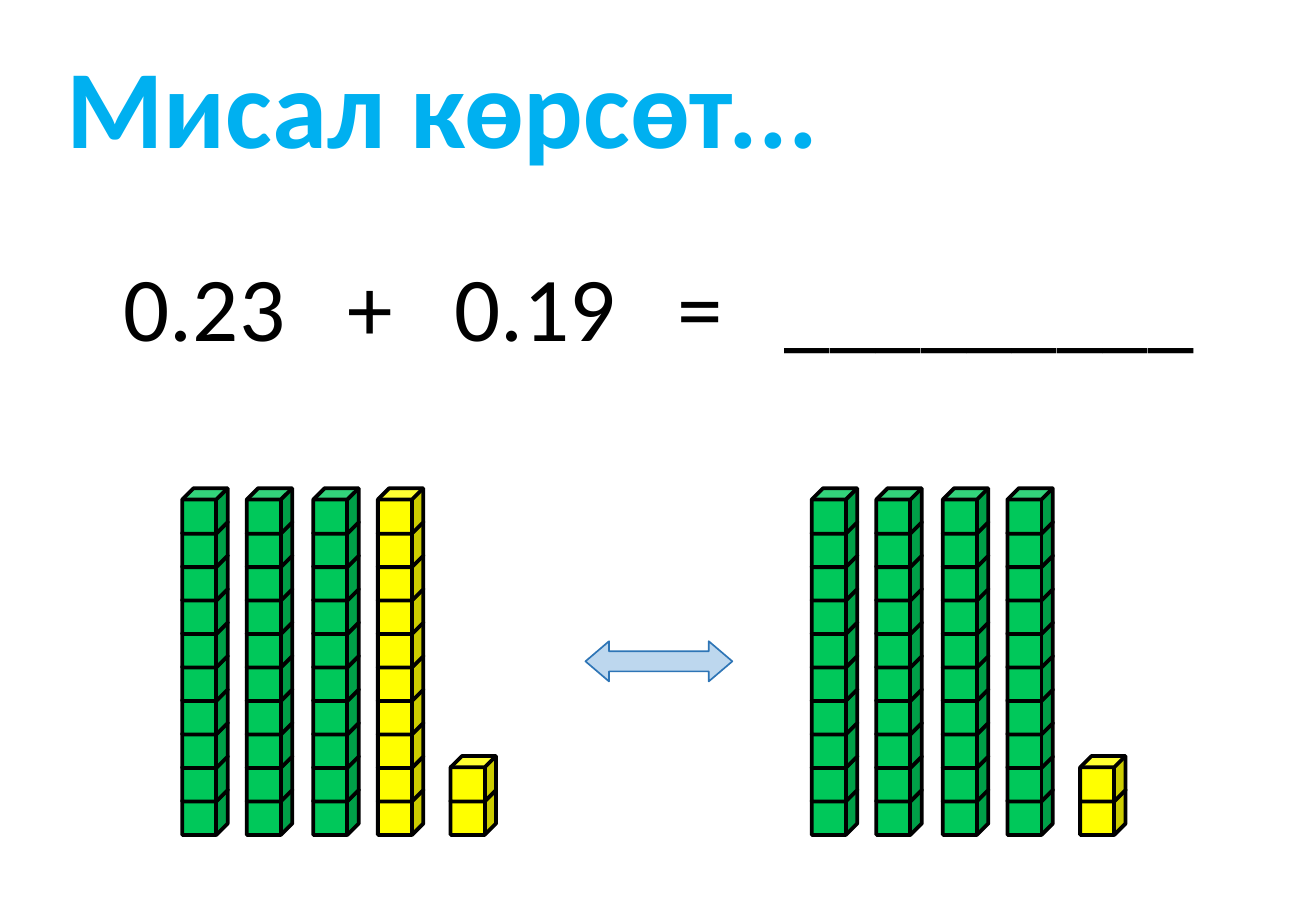
from lxml.etree import SubElement
from pptx import Presentation
from pptx.dml.color import RGBColor
from pptx.enum.shapes import MSO_SHAPE
from pptx.enum.text import MSO_ANCHOR, PP_ALIGN
from pptx.oxml.ns import qn
from pptx.util import Cm, Pt

SKY = RGBColor(0x00, 0xB0, 0xF0)
BLACK = RGBColor(0x00, 0x00, 0x00)
GREEN = RGBColor(0x00, 0xC8, 0x5A)
YELLOW = RGBColor(0xFF, 0xFF, 0x00)
PALE_BLUE = RGBColor(0xBD, 0xD7, 0xEE)
BLUE = RGBColor(0x2E, 0x75, 0xB6)

CUBE = 0.95
CUBE_STEP = 0.7
BOTTOM_CUBE_TOP = 16.51
COLUMN_LEFTS = (3.81, 5.16, 6.55, 7.9, 9.42)
RIGHT_MODEL_OFFSET = 13.16


class Board:
    font_name = "Calibri"

    def __init__(self, prs):
        self.s = prs.slides.add_slide(prs.slide_layouts[5])

    def set_text(self, sp, text, inset, tabs=(), **style):
        tf = sp.text_frame
        frame = {"word_wrap": True, "vertical_anchor": MSO_ANCHOR.TOP,
                 "margin_left": Cm(inset)}
        for name, value in frame.items():
            setattr(tf, name, value)
        p = tf.paragraphs[0]
        p.alignment = PP_ALIGN.LEFT
        if tabs:
            tab_list = SubElement(p._p.get_or_add_pPr(), qn("a:tabLst"))
            for position in tabs:
                SubElement(tab_list, qn("a:tab"), pos=str(Cm(position)), algn="l")
        r = p.add_run()
        r.text = text
        r.font.color.rgb = style.pop("color")
        for name, value in {"name": self.font_name, **style}.items():
            setattr(r.font, name, value)

    def title(self, text, left, top, width, height, **style):
        sp = self.s.shapes.title
        box = {"left": left, "top": top, "width": width, "height": height}
        for name, value in box.items():
            setattr(sp, name, Cm(value))
        self.set_text(sp, text, **style)

    def text(self, text, left, top, width, height, **style):
        sp = self.s.shapes.add_textbox(Cm(left), Cm(top), Cm(width), Cm(height))
        self.set_text(sp, text, **style)

    def shape(self, shapes, kind, left, top, width, height, fill, line, weight):
        sp = shapes.add_shape(kind, Cm(left), Cm(top), Cm(width), Cm(height))
        sp.shadow.inherit = False
        sp.fill.solid()
        sp.fill.fore_color.rgb = fill
        sp.line.color.rgb = line
        sp.line.width = Pt(weight)
        return sp

    def column(self, left, count, color):
        group = self.s.shapes.add_group_shape()
        for i in range(count):
            self.shape(group.shapes, MSO_SHAPE.CUBE, left,
                       BOTTOM_CUBE_TOP - i * CUBE_STEP, CUBE, CUBE,
                       color, BLACK, 2.25)

    def model(self, offset, columns):
        for left, (count, color) in zip(COLUMN_LEFTS, columns):
            self.column(left + offset, count, color)

    def double_arrow(self, left, top, width, height):
        sp = self.shape(self.s.shapes, MSO_SHAPE.LEFT_RIGHT_ARROW,
                        left, top, width, height, PALE_BLUE, BLUE, 1)
        sp.adjustments[0] = 0.5
        sp.adjustments[1] = 0.586


def main():
    prs = Presentation()
    prs.slide_width = Cm(27.51)
    prs.slide_height = Cm(19.05)
    board = Board(prs)
    board.title("Мисал көрсөт...", 0.61, 0.66, 19.15, 3.07,
                inset=0.78, size=Pt(66), bold=True, color=SKY)
    board.text("0.23\t+\t0.19\t=\t_________", 2.21, 5.11, 23.11, 2.57,
               inset=0.38, tabs=(4.67, 6.91, 11.58, 13.82),
               size=Pt(54), color=BLACK)
    board.model(0, [(10, GREEN)] * 3 + [(10, YELLOW), (2, YELLOW)])
    board.double_arrow(12.24, 13.41, 3.07, 0.84)
    board.model(RIGHT_MODEL_OFFSET, [(10, GREEN)] * 4 + [(2, YELLOW)])
    prs.save("out.pptx")


if __name__ == "__main__":
    main()
